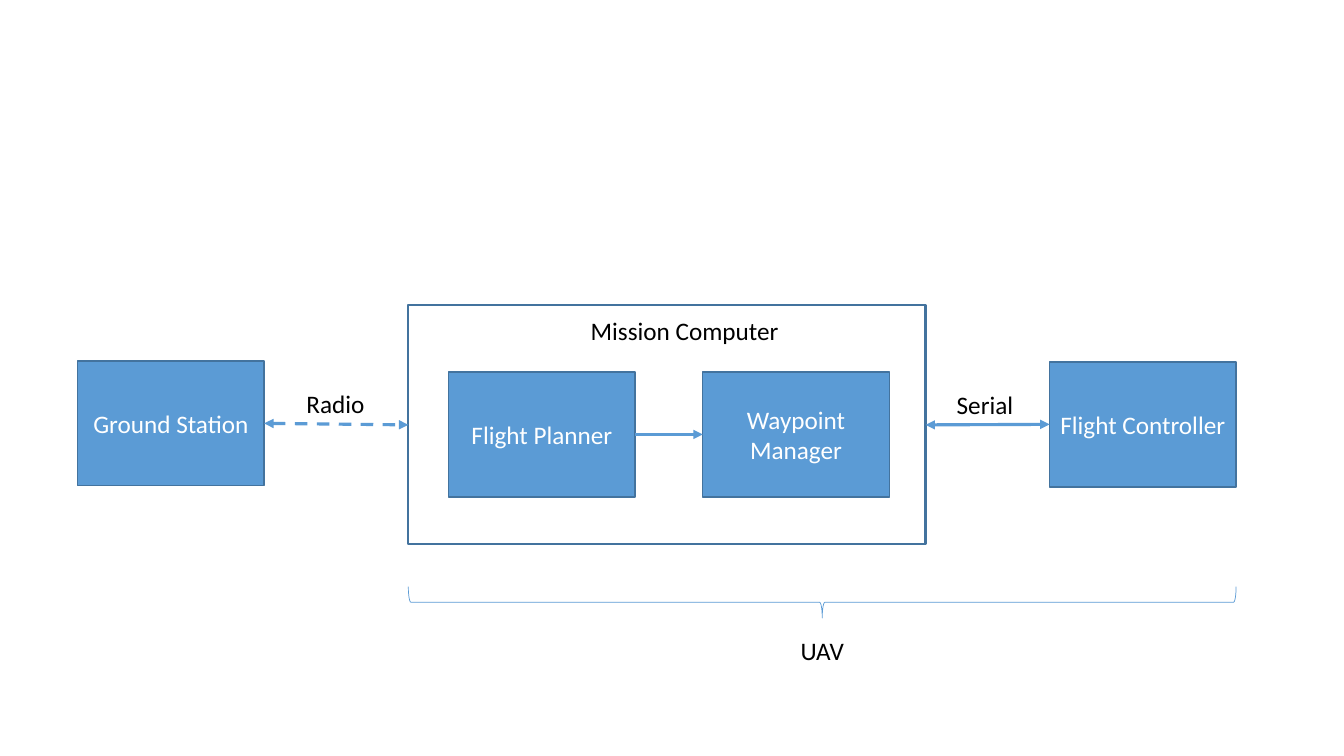
from lxml.etree import SubElement
from pptx import Presentation
from pptx.dml.color import RGBColor
from pptx.enum.dml import MSO_LINE_DASH_STYLE as Dash
from pptx.enum.shapes import MSO_CONNECTOR as Connector, MSO_SHAPE as Shape
from pptx.enum.text import MSO_ANCHOR as Anchor, MSO_AUTO_SIZE as AutoSize, PP_ALIGN as Align
from pptx.oxml.ns import qn
from pptx.util import Inches, Pt

COLORS = {"blue": "5B9BD5", "edge": "43739E", "white": "FFFFFF", "black": "000000"}
FONT, TEXT_SIZE = "Calibri", 18
BOX_WIDTH, BOX_HEIGHT, LABEL_HEIGHT = 1.85, 1.24, 0.4
LEFT_SITE, RIGHT_SITE = 1, 3

COMPUTER = "Mission Computer"
COMPUTER_FRAME = (4.05, 3.03, 5.13, 2.37)
BOXES = [
    ("Flight Planner", 4.45, 3.69),
    ("Ground Station", 0.77, 3.58),
    ("Waypoint Manager", 6.97, 3.69),
    ("Flight Controller", 10.41, 3.59),
]
LINKS = [
    ("Ground Station", COMPUTER, True, True),
    ("Flight Planner", "Waypoint Manager", False, False),
    (COMPUTER, "Flight Controller", True, False),
]
LABELS = [
    ("Radio", 2.94, 3.8, 0.82, Align.LEFT),
    ("Serial", 9.39, 3.81, 0.82, Align.LEFT),
    ("UAV", 7.51, 6.25, 1.29, Align.CENTER),
    (COMPUTER, 5.63, 3.08, 2.32, Align.CENTER),
]
BRACE_TOP, BRACE_DEPTH = 5.82, 0.31


def color(name):
    return RGBColor.from_string(COLORS[name])


def write(shape, text, ink, align):
    shape.text_frame.word_wrap = True
    para = shape.text_frame.paragraphs[0]
    para.alignment = align
    span = para.add_run()
    span.text = text
    span.font.name = FONT
    span.font.size = Pt(TEXT_SIZE)
    span.font.color.rgb = color(ink)


def add_outline(kind, frame, line, weight, fill=None):
    shape = page.shapes.add_shape(kind, *map(Inches, frame))
    shape.shadow.inherit = False
    shape.line.color.rgb = color(line)
    shape.line.width = Pt(weight)
    if fill:
        shape.fill.solid()
        shape.fill.fore_color.rgb = color(fill)
    else:
        shape.fill.background()
    return shape


def add_link(start, end, two_way, dashed):
    link = page.shapes.add_connector(Connector.STRAIGHT, 0, 0, 0, 0)
    link.begin_connect(start, RIGHT_SITE)
    link.end_connect(end, LEFT_SITE)
    link.line.color.rgb = color("blue")
    link.line.width = Pt(2.25)
    if dashed:
        link.line.dash_style = Dash.DASH
    properties = link._element.spPr
    line = properties.find(qn("a:ln"))
    for tag in ("a:headEnd", "a:tailEnd") if two_way else ("a:tailEnd",):
        SubElement(line, qn(tag), type="triangle")
    SubElement(properties, qn("a:effectLst"))


deck = Presentation()
deck.slide_width, deck.slide_height = Inches(13.33), Inches(7.5)
page = deck.slides.add_slide(deck.slide_layouts[6])

nodes = {}
for name, left, top in BOXES:
    box = add_outline(Shape.RECTANGLE, (left, top, BOX_WIDTH, BOX_HEIGHT), "edge", 1, "blue")
    box.text_frame.vertical_anchor = Anchor.MIDDLE
    write(box, name, "white", Align.CENTER)
    nodes[name] = box
nodes[COMPUTER] = add_outline(Shape.RECTANGLE, COMPUTER_FRAME, "edge", 1.5)

for start, end, two_way, dashed in LINKS:
    add_link(nodes[start], nodes[end], two_way, dashed)

brace_left = COMPUTER_FRAME[0]
brace_span = BOXES[-1][1] + BOX_WIDTH - brace_left
brace_frame = (
    brace_left + (brace_span - BRACE_DEPTH) / 2,
    BRACE_TOP + (BRACE_DEPTH - brace_span) / 2,
    BRACE_DEPTH,
    brace_span,
)
brace = add_outline(Shape.LEFT_BRACE, brace_frame, "blue", 0.5)
brace.rotation = 270

for text, left, top, width, align in LABELS:
    label = page.shapes.add_textbox(*map(Inches, (left, top, width, LABEL_HEIGHT)))
    write(label, text, "black", align)
    label.text_frame.auto_size = AutoSize.SHAPE_TO_FIT_TEXT

deck.save("out.pptx")
